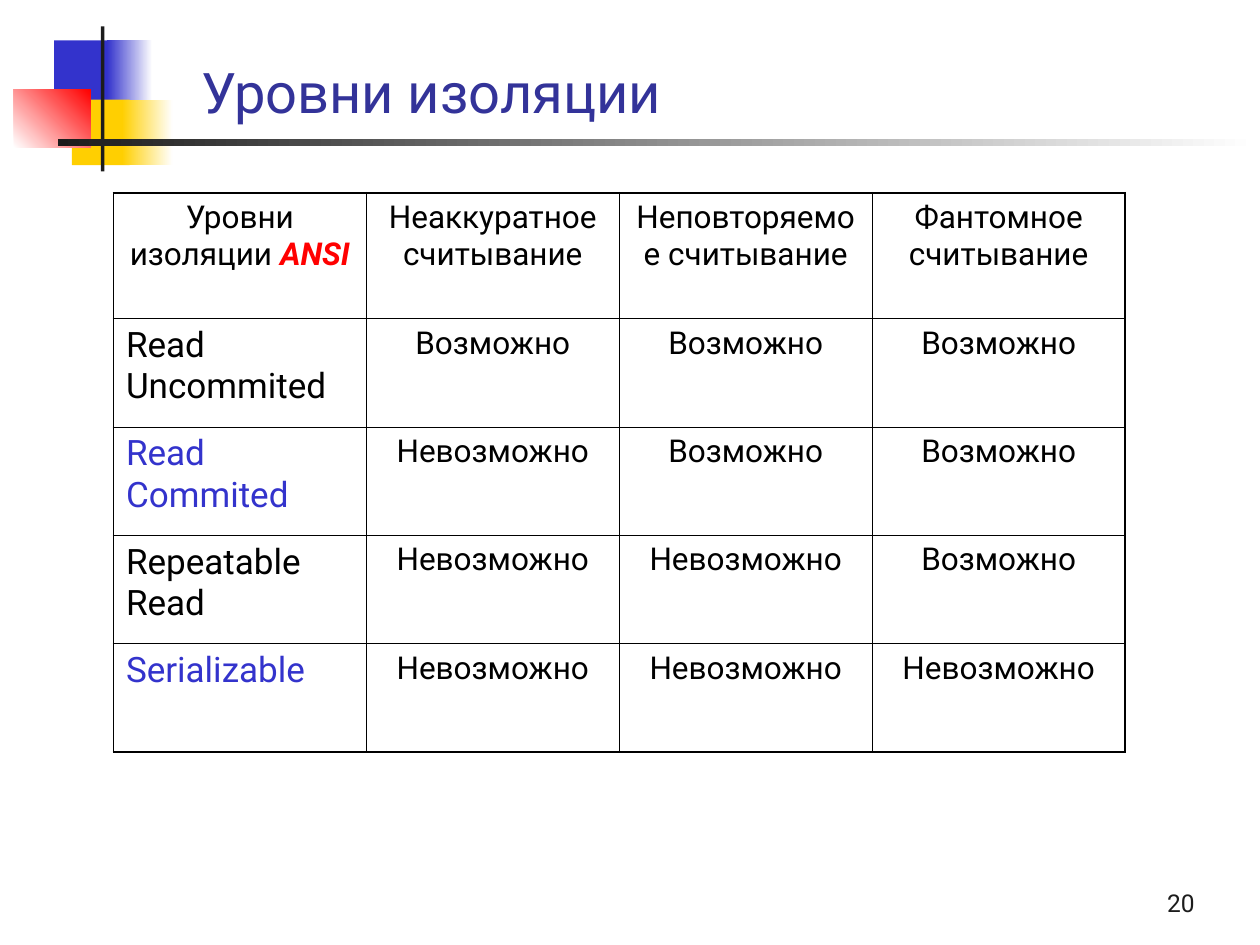
from lxml import etree
from pptx import Presentation
from pptx.dml.color import RGBColor
from pptx.enum import shapes, text
from pptx.oxml import ns
from pptx.util import Inches, Pt

BLACK = RGBColor(0x00, 0x00, 0x00)
CHARCOAL = RGBColor(0x1C, 0x1C, 0x1C)
WHITE = RGBColor(0xFF, 0xFF, 0xFF)
BLUE = RGBColor(0x33, 0x33, 0xCC)
NAVY = RGBColor(0x33, 0x33, 0x99)
YELLOW = RGBColor(0xFF, 0xCF, 0x01)
RED = RGBColor(0xFF, 0x00, 0x00)


def write(para, words, size=18, color=BLACK, bold=False, italic=False, align=text.PP_ALIGN.CENTER):
    para.alignment = align
    span = para.add_run()
    span.text = words
    span.font.name = "Roboto"
    span.font.size = Pt(size)
    span.font.color.rgb = color
    span.font.bold = bold
    span.font.italic = italic


def add_border(cell, side, width):
    line = etree.SubElement(cell._tc.get_or_add_tcPr(), ns.qn(f"a:ln{side}"), w=str(Pt(width)))
    fill = etree.SubElement(line, ns.qn("a:solidFill"))
    etree.SubElement(fill, ns.qn("a:srgbClr"), val=str(BLACK))


deck = Presentation()
deck.slide_width = Inches(10)
deck.slide_height = Inches(7.5)
page = deck.slides.add_slide(deck.slide_layouts[5])

ornaments = [
    (0.43, 0.32, 0.48, 0.52, [BLUE], 0),
    (0.85, 0.32, 0.36, 0.52, [BLUE, WHITE], 0),
    (0.57, 0.79, 0.46, 0.52, [YELLOW], 0),
    (0.97, 0.79, 0.4, 0.52, [YELLOW, WHITE], 0),
    (0.11, 0.71, 0.61, 0.46, [WHITE, RED], 45),
    (0.8, 0.21, 0.03, 1.15, [CHARCOAL], 0),
    (0.46, 1.1, 9.51, 0.06, [CHARCOAL, WHITE], 0),
]
for left, top, width, height, colors, angle in ornaments:
    block = page.shapes.add_shape(
        shapes.MSO_SHAPE.RECTANGLE, Inches(left), Inches(top), Inches(width), Inches(height)
    )
    block.shadow.inherit = False
    block.line.fill.background()
    if len(colors) == 1:
        block.fill.solid()
        block.fill.fore_color.rgb = colors[0]
    else:
        block.fill.gradient()
        block.fill.gradient_angle = angle
        for stop, color in zip(block.fill.gradient_stops, colors):
            stop.color.rgb = color

title = page.shapes.title
title.left, title.top = Inches(1.5), Inches(0.33)
title.width, title.height = Inches(8.5), Inches(0.71)
title.text_frame.vertical_anchor = text.MSO_ANCHOR.BOTTOM
write(title.text_frame.paragraphs[0], "Уровни изоляции", size=32, color=NAVY, align=text.PP_ALIGN.LEFT)

YES, NO = "Возможно", "Невозможно"
levels = [
    ("Уровни изоляции ", "Неаккуратное считывание", "Неповторяемое считывание", "Фантомное считывание"),
    ("Read Uncommited", YES, YES, YES),
    ("Read Commited", NO, YES, YES),
    ("Repeatable Read", NO, NO, YES),
    ("Serializable", NO, NO, NO),
]
last_row, last_column = len(levels) - 1, len(levels[0]) - 1
table = page.shapes.add_table(
    len(levels), len(levels[0]), Inches(0.9), Inches(1.53), Inches(8.03), Inches(4.44)
).table
table.first_row = False
table.horz_banding = False
for row in table.rows:
    row.height = Inches(0.86)
table.rows[0].height = Inches(1)

for r, level in enumerate(levels):
    for c, words in enumerate(level):
        cell = table.cell(r, c)
        para = cell.text_frame.paragraphs[0]
        if r and c == 0:
            color = BLUE if r % 2 == 0 else BLACK
            write(para, words, size=20, color=color, align=text.PP_ALIGN.LEFT)
        else:
            write(para, words)
        outer = {"L": c == 0, "R": c == last_column, "T": r == 0, "B": r == last_row}
        for side, is_outer in outer.items():
            add_border(cell, side, 1.08 if is_outer else 0.45)
        cell.fill.background()
write(table.cell(0, 0).text_frame.paragraphs[0], "ANSI", color=RED, bold=True, italic=True)

number = page.shapes.add_textbox(Inches(7.5), Inches(6.83), Inches(2.08), Inches(0.5))
number.text_frame.word_wrap = True
number.text_frame.vertical_anchor = text.MSO_ANCHOR.BOTTOM
write(number.text_frame.paragraphs[0], "20", size=14, color=CHARCOAL, align=text.PP_ALIGN.RIGHT)

deck.save("out.pptx")
